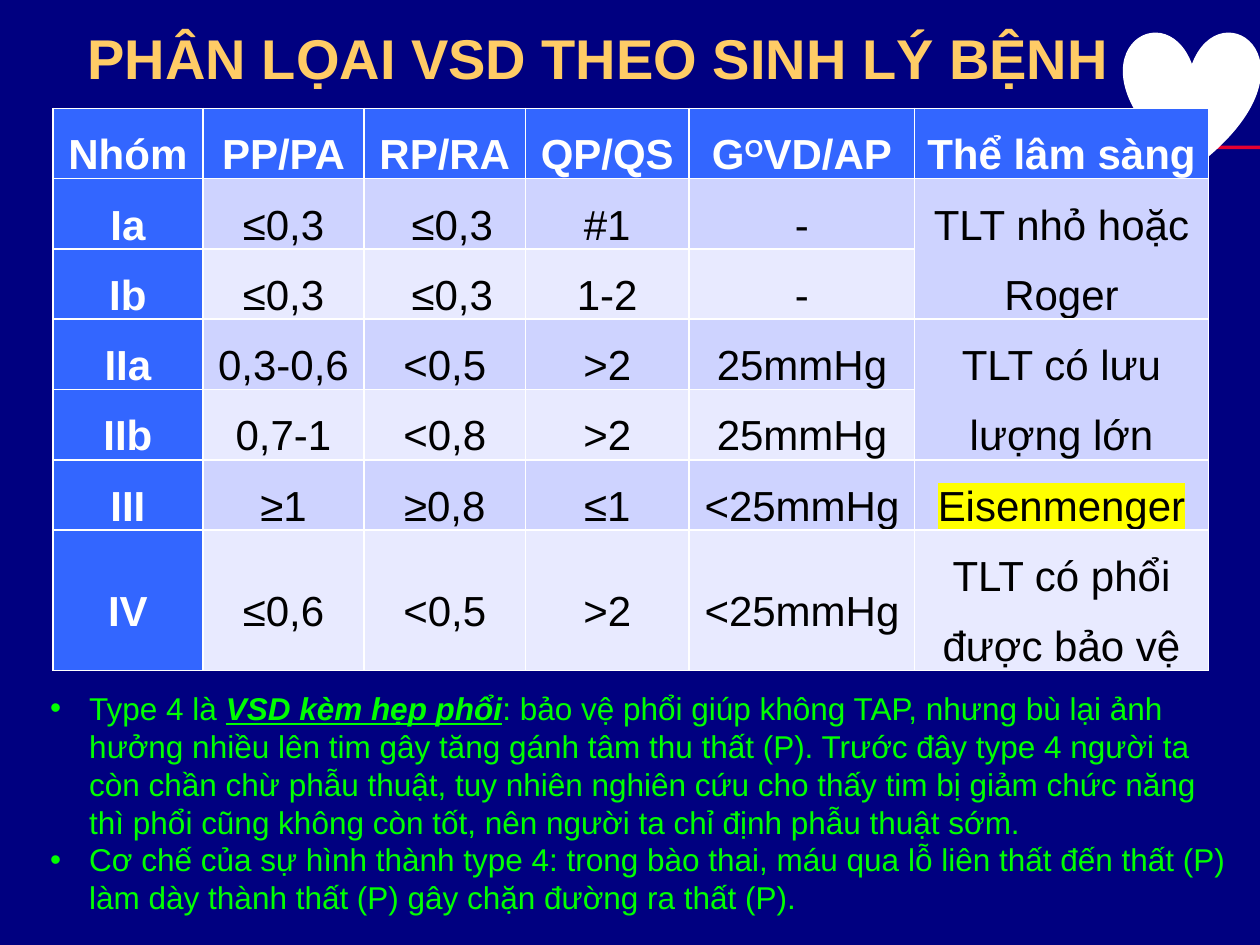
import pptx
import pptx.dml.color
import pptx.enum.shapes
import pptx.enum.text
import pptx.oxml
import pptx.oxml.ns
import pptx.util
from pptx.util import Inches

NAVY, GOLD, WHITE, BLACK = "000080", "FFCC66", "FFFFFF", "000000"
BLUE, BAND_DARK, BAND_LIGHT = "3366FF", "CED3FF", "E8EAFF"
GREEN, YELLOW, RED = "00FF00", "FFFF00", "E50032"
CENTER = pptx.enum.text.PP_ALIGN.CENTER
MIDDLE = pptx.enum.text.MSO_ANCHOR.MIDDLE

COLUMN_WIDTHS = [1.19, 1.28, 1.28, 1.3, 1.79, 2.33]
ROW_HEIGHTS = [0.55] * 6 + [1.11]
GROUPS = [
    ["Nhóm", "PP/PA", "RP/RA", "QP/QS", "GOVD/AP", "Thể lâm sàng"],
    ["Ia", "≤0,3", "≤0,3", "#1", "-", "TLT nhỏ hoặc Roger"],
    ["Ib", "≤0,3", "≤0,3", "1-2", "-", ""],
    ["IIa", "0,3-0,6", "<0,5", ">2", "25mmHg", "TLT có lưu lượng lớn"],
    ["IIb", "0,7-1", "<0,8", ">2", "25mmHg", ""],
    ["III", "≥1", "≥0,8", "≤1", "<25mmHg", "Eisenmenger"],
    ["IV", "≤0,6", "<0,5", ">2", "<25mmHg", "TLT có phổi được bảo vệ"],
]
NOTES = [
    ["Type 4 là ", "VSD kèm hẹp phổi",
     ": bảo vệ phổi giúp không TAP, nhưng bù lại ảnh hưởng nhiều lên tim gây tăng "
     "gánh tâm thu thất (P). Trước đây type 4 người ta còn chần chừ phẫu thuật, tuy "
     "nhiên nghiên cứu cho thấy tim bị giảm chức năng thì phổi cũng không còn tốt, "
     "nên người ta chỉ định phẫu thuật sớm."],
    ["Cơ chế của sự hình thành type 4: trong bào thai, máu qua lỗ liên thất đến thất "
     "(P) làm dày thành thất (P) gây chặn đường ra thất (P)."],
]
HEARTBEAT = [(8.58, 1.2), (8.85, 1.2), (8.94, 1.04), (9.05, 1.31), (9.22, 0.92),
             (9.39, 1.49), (9.59, 1.01), (9.65, 1.17), (10, 1.17)]


def rgb(value):
    return pptx.dml.color.RGBColor.from_string(value)


def xml(markup):
    """Parse one DrawingML element whose tag carries the a: prefix."""
    tag, rest = markup[1:].split(" ", 1)
    return pptx.oxml.parse_xml(f"<{tag} {pptx.oxml.ns.nsdecls('a')} {rest}")


class SlideBuilder:
    font_name = "Arial"

    def __init__(self, presentation, background):
        self.slide = presentation.slides.add_slide(presentation.slide_layouts[5])
        self.slide.background.fill.solid()
        self.slide.background.fill.fore_color.rgb = rgb(background)

    def style(self, run, size, color, bold=False):
        run.font.name = self.font_name
        run.font.size = pptx.util.Pt(size)
        run.font.bold = bold
        run.font.color.rgb = rgb(color)

    def title(self, text, left, top, width, height):
        title = self.slide.shapes.title
        title.left, title.top = Inches(left), Inches(top)
        title.width, title.height = Inches(width), Inches(height)
        title.text_frame.text = text
        title.text_frame.vertical_anchor = MIDDLE
        title.text_frame.paragraphs[0].alignment = CENTER
        self.style(title.text_frame.paragraphs[0].runs[0], 32, GOLD, bold=True)

    def polyline(self, points, color, width):
        (start_x, start_y), *others = points
        builder = self.slide.shapes.build_freeform(
            Inches(start_x), Inches(start_y), scale=1.0)
        builder.add_line_segments([(Inches(x), Inches(y)) for x, y in others], close=False)
        line = builder.convert_to_shape()
        line.shadow.inherit = False
        line.fill.background()
        line.line.color.rgb = rgb(color)
        line.line.width = pptx.util.Pt(width)

    def heart(self, left, top, width, height, color):
        heart = self.slide.shapes.add_shape(
            pptx.enum.shapes.MSO_SHAPE.HEART,
            Inches(left), Inches(top), Inches(width), Inches(height))
        heart.shadow.inherit = False
        heart.fill.solid()
        heart.fill.fore_color.rgb = rgb(color)
        heart.line.color.rgb = rgb(color)

    def table(self, rows, widths, heights, left, top):
        table = self.slide.shapes.add_table(
            len(rows), len(widths), Inches(left), Inches(top),
            Inches(sum(widths)), Inches(sum(heights))).table
        for column, width in zip(table.columns, widths):
            column.width = Inches(width)
        for row, height in zip(table.rows, heights):
            row.height = Inches(height)
        for r, texts in enumerate(rows):
            for c, text in enumerate(texts):
                heading = r == 0 or c == 0
                band = BAND_DARK if r % 2 else BAND_LIGHT
                self.cell(table.cell(r, c), text, BLUE if heading else band, heading)
        return table

    def cell(self, cell, text, fill, heading):
        cell.text = text
        cell.vertical_anchor = MIDDLE
        cell.margin_left = cell.margin_right = Inches(0.07)
        cell.margin_top = cell.margin_bottom = 0
        cell.fill.solid()
        cell.fill.fore_color.rgb = rgb(fill)
        paragraph = cell.text_frame.paragraphs[0]
        paragraph.alignment = CENTER
        paragraph.line_spacing = 1.5
        for run in paragraph.runs:
            self.style(run, 24, WHITE if heading else BLACK, bold=heading)
        for position, side in enumerate("LRTB"):
            cell._tc.get_or_add_tcPr().insert(position, xml(
                f'<a:ln{side} w="12700"><a:solidFill><a:srgbClr val="{WHITE}"/>'
                f'</a:solidFill></a:ln{side}>'))

    def superscript(self, cell, parts):
        """Split a cell into runs and raise the second one."""
        paragraph = cell.text_frame.paragraphs[0]
        paragraph.text = parts[0]
        for part in parts[1:]:
            paragraph.add_run().text = part
        for run in paragraph.runs:
            self.style(run, 24, WHITE, bold=True)
        paragraph.runs[1].font._element.set("baseline", "30000")

    def highlight(self, cell, color):
        properties = cell.text_frame.paragraphs[0].runs[0].font._element
        properties.find(pptx.oxml.ns.qn("a:solidFill")).addnext(
            xml(f'<a:highlight ><a:srgbClr val="{color}"/></a:highlight>'))

    def bullets(self, items, left, top, width, height):
        """Add a bulleted list; the second run of an item is emphasised."""
        frame = self.slide.shapes.add_textbox(
            Inches(left), Inches(top), Inches(width), Inches(height)).text_frame
        frame.word_wrap = True
        for i, parts in enumerate(items):
            paragraph = frame.add_paragraph() if i else frame.paragraphs[0]
            properties = paragraph._p.get_or_add_pPr()
            properties.set("marL", str(Inches(0.31)))
            properties.set("indent", str(Inches(-0.31)))
            properties.append(xml('<a:buFont typeface="Arial"/>'))
            properties.append(xml('<a:buChar char="•"/>'))
            for j, part in enumerate(parts):
                run = paragraph.add_run()
                run.text = part
                emphasis = j == 1
                self.style(run, 18, GREEN, bold=emphasis)
                run.font.italic = run.font.underline = emphasis


def main():
    presentation = pptx.Presentation()
    presentation.slide_width, presentation.slide_height = Inches(10), Inches(7.5)
    builder = SlideBuilder(presentation, NAVY)

    builder.polyline(HEARTBEAT, RED, 2)
    builder.heart(8.92, 0.25, 1.08, 1.09, WHITE)
    builder.title("PHÂN LỌAI VSD THEO SINH LÝ BỆNH", 0.5, 0.08, 8.5, 0.75)

    groups = builder.table(GROUPS, COLUMN_WIDTHS, ROW_HEIGHTS, 0.42, 0.86)
    for first in (1, 3):
        groups.cell(first, 5).merge(groups.cell(first + 1, 5))
    for row in (1, 2):
        resistance = groups.cell(row, 2).text_frame.paragraphs[0]
        resistance._p.get_or_add_pPr().set("indent", str(Inches(0.12)))
    builder.superscript(groups.cell(0, 4), ["G", "O", "VD/AP"])
    builder.highlight(groups.cell(5, 5), YELLOW)

    builder.bullets(NOTES, 0.3, 5.42, 9.62, 1.92)
    presentation.save("out.pptx")


if __name__ == "__main__":
    main()
